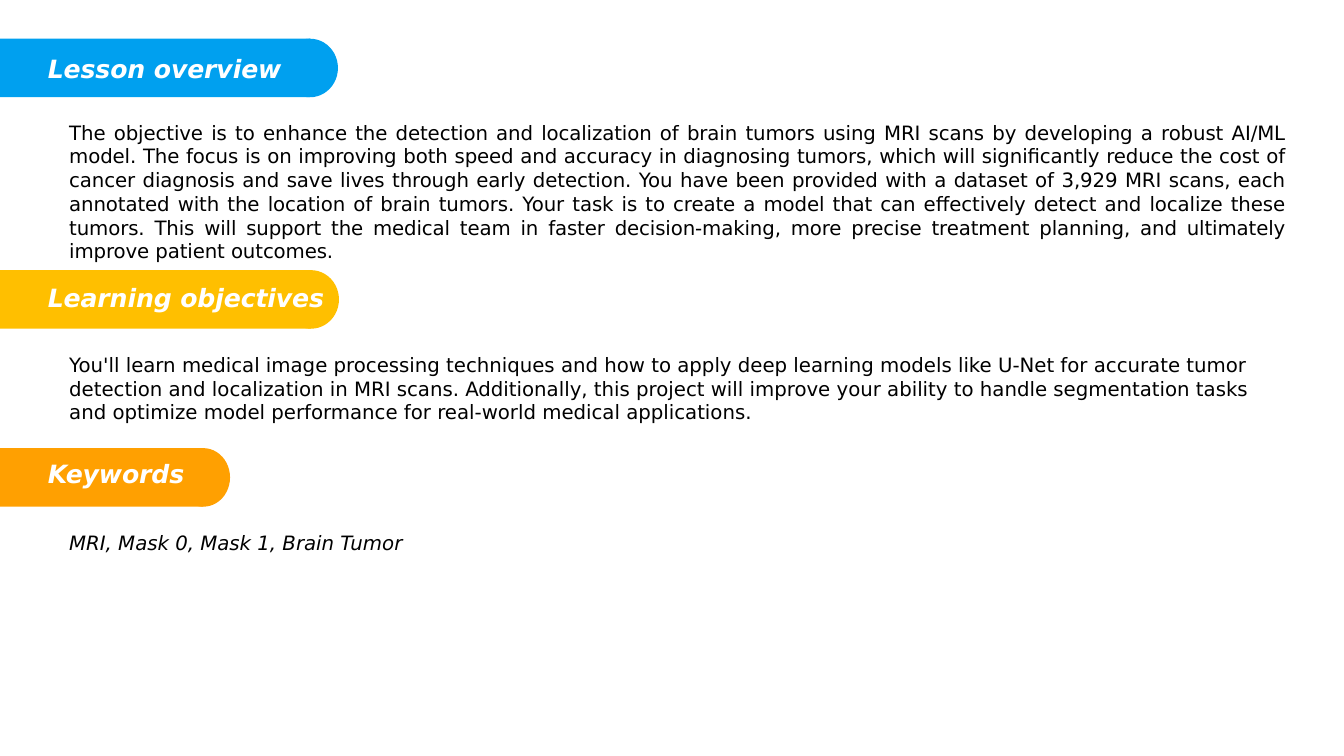
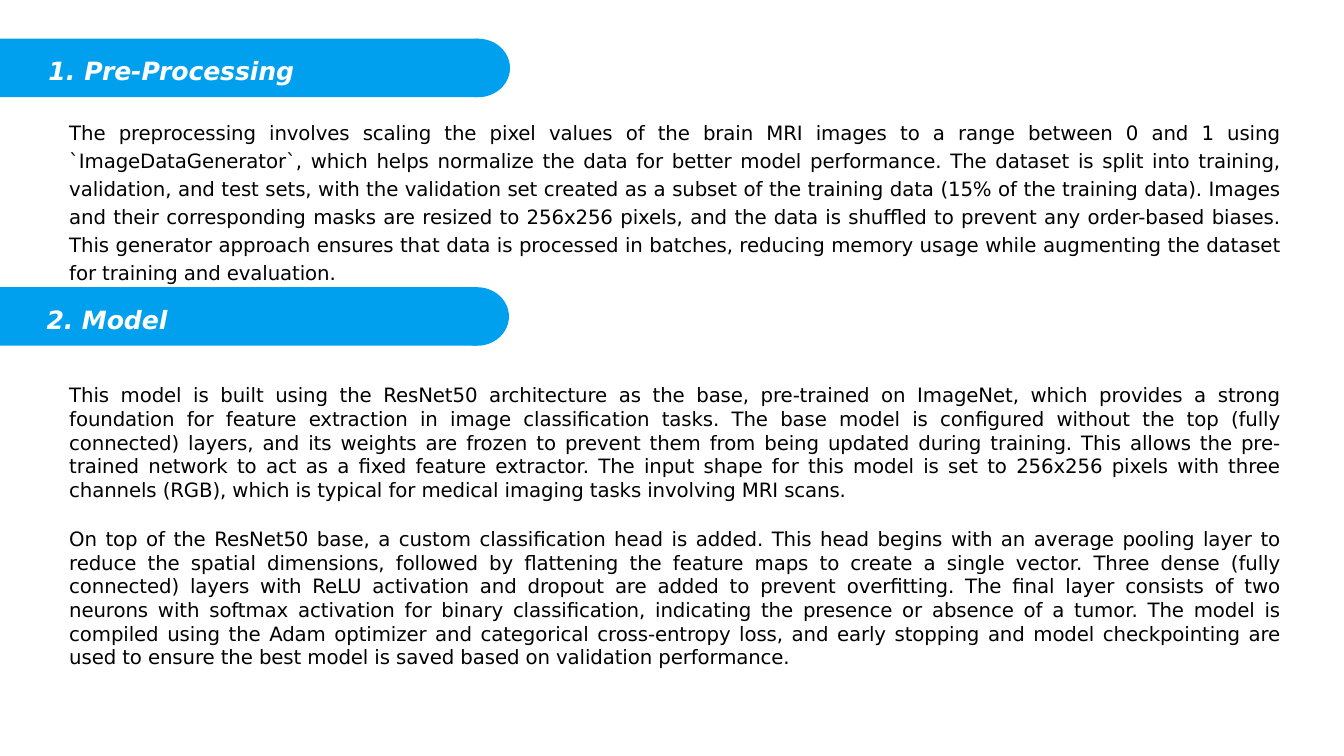
"""Build two lesson slides with coloured section bands."""
from dataclasses import dataclass

from lxml import etree
from pptx import Presentation
from pptx.dml.color import RGBColor
from pptx.enum import shapes, text
from pptx.oxml.ns import qn
from pptx.util import Cm, Pt

COLOURS = {
    "blue": "00A0EF",
    "yellow": "FFBF00",
    "orange": "FFA001",
    "white": "FFFFFF",
    "black": "000000",
}
LAYOUTS = {"comparison": 4, "two content": 3}
BAND_HEIGHT = 2.3
BODY_LEFT = 2.69
FRAME = {
    "word_wrap": True,
    "auto_size": text.MSO_AUTO_SIZE.NONE,
    "vertical_anchor": text.MSO_ANCHOR.TOP,
    "margin_left": 0,
    "margin_right": 0,
    "margin_top": Cm(0.03),
    "margin_bottom": 0,
}
HEADING_FONT = {"name": "DejaVu Sans", "size": Pt(28), "bold": True, "italic": True}
BODY_FONT = {"name": "DejaVu Sans", "size": Pt(22), "bold": False, "italic": False}
PARAGRAPH = {
    "alignment": text.PP_ALIGN.LEFT,
    "line_spacing": 1.0,
    "space_before": Pt(1),
    "space_after": Pt(0),
}
TIGHT = {"spc": "-10"}


@dataclass
class Section:
    """A band with its heading and the paragraphs below it, in centimetres."""

    heading: str
    heading_box: tuple
    band: tuple
    body: list
    body_box: tuple
    colour: str = "blue"
    justified: bool = True
    italic: bool = False
    line_spacing: float = 1.0
    numbered: bool = False


OVERVIEW = [
    Section(
        "Lesson overview", (1.85, 2.06, 20, 1.24), (1.52, 13.28, 2.2),
        [
            "The objective is to enhance the detection and localization of brain tumors "
            "using MRI scans by developing a robust AI/ML model. The focus is on improving "
            "both speed and accuracy in diagnosing tumors, which will significantly reduce "
            "the cost of cancer diagnosis and save lives through early detection. You have "
            "been provided with a dataset of 3,929 MRI scans, each annotated with the "
            "location of brain tumors. Your task is to create a model that can effectively "
            "detect and localize these tumors. This will support the medical team in faster "
            "decision-making, more precise treatment planning, and ultimately improve "
            "patient outcomes.",
        ],
        (BODY_LEFT, 4.7, 47.83, 5.66),
    ),
    Section(
        "Learning objectives", (1.85, 11.07, 20, 1.24), (10.61, 13.32, 2.2),
        [
            "You'll learn medical image processing techniques and how to apply deep learning "
            "models like U-Net for accurate tumor detection and localization in MRI scans. "
            "Additionally, this project will improve your ability to handle segmentation "
            "tasks and optimize model performance for real-world medical applications.",
        ],
        (BODY_LEFT, 13.82, 47.83, 2.84),
        colour="yellow", justified=False,
    ),
    Section(
        "Keywords", (1.85, 17.98, 20, 1.24), (17.6, 9.04, 2.1),
        ["MRI, Mask 0, Mask 1, Brain Tumor"],
        (BODY_LEFT, 20.83, 47.68, 0.97),
        colour="orange", justified=False, italic=True,
    ),
]
METHOD = [
    Section(
        "Pre-Processing", (1.85, 2.16, 29, 1.24), (1.52, 20.04, 2.51),
        [
            "The preprocessing involves scaling the pixel values of the brain MRI images to "
            "a range between 0 and 1 using `ImageDataGenerator`, which helps normalize the "
            "data for better model performance. The dataset is split into training, "
            "validation, and test sets, with the validation set created as a subset of the "
            "training data (15% of the training data). Images and their corresponding masks "
            "are resized to 256x256 pixels, and the data is shuffled to prevent any "
            "order-based biases. This generator approach ensures that data is processed in "
            "batches, reducing memory usage while augmenting the dataset for training and "
            "evaluation.",
        ],
        (BODY_LEFT, 4.55, 47.63, 6.55),
        line_spacing=1.18, numbered=True,
    ),
    Section(
        "2. Model", (1.8, 11.91, 29, 1.24), (11.28, 20, 2.51),
        [
            "This model is built using the ResNet50 architecture as the base, pre-trained on "
            "ImageNet, which provides a strong foundation for feature extraction in image "
            "classification tasks. The base model is configured without the top (fully "
            "connected) layers, and its weights are frozen to prevent them from being "
            "updated during training. This allows the pre-trained network to act as a fixed "
            "feature extractor. The input shape for this model is set to 256x256 pixels with "
            "three channels (RGB), which is typical for medical imaging tasks involving MRI "
            "scans.",
            "On top of the ResNet50 base, a custom classification head is added. This head "
            "begins with an average pooling layer to reduce the spatial dimensions, followed "
            "by flattening the feature maps to create a single vector. Three dense (fully "
            "connected) layers with ReLU activation and dropout are added to prevent "
            "overfitting. The final layer consists of two neurons with softmax activation "
            "for binary classification, indicating the presence or absence of a tumor. The "
            "model is compiled using the Adam optimizer and categorical cross-entropy loss, "
            "and early stopping and model checkpointing are used to ensure the best model is "
            "saved based on validation performance.",
        ],
        (BODY_LEFT, 15.01, 47.63, 11.38),
    ),
]


def apply_format(target, values):
    """Set each attribute named in a dict of format values."""
    for name, value in values.items():
        setattr(target, name, value)


def place(shape, box):
    """Move and size a shape, bringing it to the front."""
    names = ("left", "top", "width", "height")
    apply_format(shape, dict(zip(names, map(Cm, box))))
    shape.element.getparent().append(shape.element)


def write(shape, lines, colour, font, paragraph_format, tight=True, numbered=False):
    """Fill a shape with formatted paragraphs, numbered or without bullets."""
    frame = shape.text_frame
    frame.text = "\n".join(lines)
    apply_format(frame, FRAME)
    for index, paragraph in enumerate(frame.paragraphs):
        apply_format(paragraph, PARAGRAPH | paragraph_format)
        if index:
            paragraph.space_before = Pt(28)
        for run in paragraph.runs:
            apply_format(run.font, font)
            run.font.color.rgb = RGBColor.from_string(COLOURS[colour])
    for properties in shape.element.iter(qn("a:pPr")):
        margin, indent = (Cm(1.47), Cm(-1.42)) if numbered else (Cm(0.03), 0)
        properties.set("marL", str(int(margin)))
        properties.set("indent", str(int(indent)))
        if numbered:
            etree.SubElement(properties, qn("a:buAutoNum"), type="arabicPeriod")
        else:
            etree.SubElement(properties, qn("a:buNone"))
    for properties in shape.element.iter(qn("a:rPr")):
        properties.attrib.update(TIGHT if tight else {})


def add_band(slide, band, colour):
    """Draw a band from the left edge that ends in a round cap."""
    top, right, cap = band
    parts = (
        (shapes.MSO_SHAPE.RECTANGLE, 0, right - cap / 2),
        (shapes.MSO_SHAPE.OVAL, right - cap, cap),
    )
    for kind, left, width in parts:
        shape = slide.shapes.add_shape(kind, Cm(left), Cm(top), Cm(width), Cm(BAND_HEIGHT))
        shape.shadow.inherit = False
        shape.fill.solid()
        shape.fill.fore_color.rgb = RGBColor.from_string(COLOURS[colour])
        shape.line.fill.background()


def add_section(slide, section, heading, body):
    """Draw one band and write its heading and body."""
    add_band(slide, section.band, section.colour)
    place(heading, section.heading_box)
    write(heading, [section.heading], "white", HEADING_FONT, {}, numbered=section.numbered)
    place(body, section.body_box)
    alignment = text.PP_ALIGN.JUSTIFY if section.justified else text.PP_ALIGN.LEFT
    write(
        body, section.body, "black", BODY_FONT | {"italic": section.italic},
        {"alignment": alignment, "line_spacing": section.line_spacing},
        tight=section.justified,
    )


def add_slide(presentation, layout, sections):
    """Add a slide of sections and remove the placeholders left over."""
    slide = presentation.slides.add_slide(presentation.slide_layouts[LAYOUTS[layout]])
    title, *bodies = slide.placeholders
    for index, section in enumerate(sections):
        heading = slide.shapes.add_textbox(0, 0, 0, 0) if index else title
        add_section(slide, section, heading, bodies[index])
    for placeholder in bodies[len(sections):]:
        placeholder.element.getparent().remove(placeholder.element)


def main():
    """Build and save the presentation."""
    presentation = Presentation()
    apply_format(presentation, {"slide_width": Cm(52.81), "slide_height": Cm(29.69)})
    add_slide(presentation, "comparison", OVERVIEW)
    add_slide(presentation, "two content", METHOD)
    presentation.save("out.pptx")


if __name__ == "__main__":
    main()
